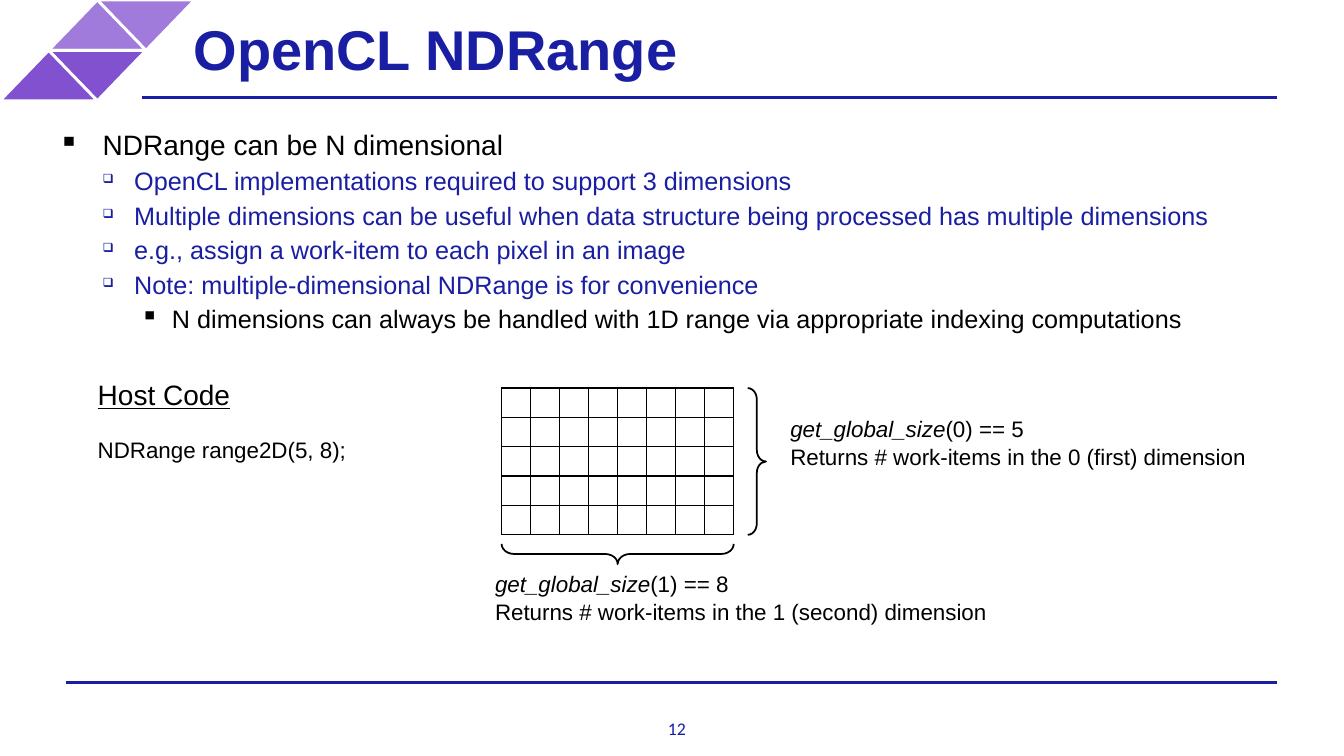
from lxml.etree import SubElement
from pptx import Presentation
from pptx.dml.color import RGBColor
from pptx.enum.shapes import MSO_CONNECTOR, MSO_SHAPE
from pptx.enum.text import MSO_ANCHOR, PP_ALIGN
from pptx.oxml.ns import qn
from pptx.util import Pt

COLORS = {"navy": "191EA2", "black": "000000", "white": "FFFFFF",
          "lilac": "A07BDB", "purple": "8151CF"}


def rgb(name):
    return RGBColor.from_string(COLORS[name])


def add_run(p, text, size=16, color="black", font="Arial", bold=False, italic=False, underline=False):
    r = p.add_run()
    r.text = text
    r.font.size = Pt(size)
    r.font.name = font
    r.font.bold = bold
    r.font.italic = italic
    r.font.underline = underline
    r.font.color.rgb = rgb(color)


def set_frame(tf, inset=0, anchor=MSO_ANCHOR.TOP):
    tf.word_wrap = True
    tf.vertical_anchor = anchor
    tf.margin_left = tf.margin_right = tf.margin_top = tf.margin_bottom = Pt(inset)


def add_box(s, x, y, w, h):
    tf = s.shapes.add_textbox(Pt(x), Pt(y), Pt(w), Pt(h)).text_frame
    set_frame(tf)
    return tf


def add_rule(s, x1, x2, y):
    line = s.shapes.add_connector(MSO_CONNECTOR.STRAIGHT, Pt(x1), Pt(y), Pt(x2), Pt(y))
    line.line.color.rgb = rgb("navy")
    line.line.width = Pt(2)
    SubElement(line._element.spPr, qn("a:effectLst"))


def add_triangles(s, x, y, w, h):
    half_w, half_h = w / 4, h / 2
    for col, row, turn, color in [(2, 0, 180, "lilac"), (1, 0, 0, "lilac"),
                                  (1, 1, 180, "purple"), (0, 1, 0, "purple")]:
        sp = s.shapes.add_shape(MSO_SHAPE.ISOSCELES_TRIANGLE, Pt(x + col * half_w),
                                Pt(y + row * half_h), Pt(2 * half_w), Pt(half_h))
        sp.rotation = turn
        sp.shadow.inherit = False
        sp.fill.solid()
        sp.fill.fore_color.rgb = rgb(color)
        sp.line.color.rgb = rgb("white")
        sp.line.width = Pt(2)


def add_title(s, text, x, y, w, h):
    title = s.shapes.title
    title.left, title.top, title.width, title.height = Pt(x), Pt(y), Pt(w), Pt(h)
    set_frame(title.text_frame, 10, MSO_ANCHOR.MIDDLE)
    p = title.text_frame.paragraphs[0]
    p.alignment = PP_ALIGN.LEFT
    add_run(p, text, size=40, color="navy", bold=True)


def add_bullets(s, items, x, y, w, h):
    styles = [(36, -31.5, 6, "▪", 100, 20, "black"),
              (58.5, -22.5, 3, "❑", 50, 18, "navy"),
              (85.5, -22.5, 3, "▪", 100, 18, "black")]
    tf = add_box(s, x, y, w, h)
    for i, (level, text) in enumerate(items):
        margin, indent, before, bullet, scale, size, color = styles[level]
        p = tf.paragraphs[0] if i == 0 else tf.add_paragraph()
        p.level = level
        p.space_before = Pt(before)
        add_run(p, text, size=size, color=color)
        pPr = p._p.get_or_add_pPr()
        pPr.set("marL", str(Pt(margin)))
        pPr.set("indent", str(Pt(indent)))
        SubElement(pPr, qn("a:buSzPct"), val=str(scale * 1000))
        SubElement(pPr, qn("a:buChar"), char=bullet)


def add_label(s, lines, x, y, w, h):
    tf = add_box(s, x, y, w, h)
    tf.margin_top = tf.margin_bottom = Pt(3.6)
    for i, runs in enumerate(lines):
        p = tf.paragraphs[0] if i == 0 else tf.add_paragraph()
        p.line_spacing = Pt(20)
        for text, style in runs:
            add_run(p, text, **style)


def add_brace(s, x, y, w, h, rotation):
    sp = s.shapes.add_shape(MSO_SHAPE.LEFT_BRACE, Pt(x), Pt(y), Pt(w), Pt(h))
    sp.rotation = rotation
    sp.adjustments[0] = 0.62
    sp.shadow.inherit = False
    sp.fill.background()
    sp.line.color.rgb = rgb("black")
    sp.line.width = Pt(1.25)


def format_cell(cell):
    cell.margin_left = cell.margin_right = cell.margin_top = cell.margin_bottom = 0
    tcPr = cell._tc.get_or_add_tcPr()
    for side in ("lnL", "lnR", "lnT", "lnB"):
        ln = SubElement(tcPr, qn("a:" + side), w=str(Pt(1)))
        fill = SubElement(ln, qn("a:solidFill"))
        SubElement(fill, qn("a:srgbClr"), val=COLORS["black"])
    cell.fill.background()
    SubElement(cell.text_frame.paragraphs[0]._p, qn("a:endParaRPr"), sz="1000")


def add_range_grid(s, rows, cols, x, y, w, h):
    table = s.shapes.add_table(rows, cols, Pt(x), Pt(y), Pt(w), Pt(h)).table
    table.first_row = table.horz_banding = False
    for col in table.columns:
        col.width = Pt(w / cols)
    for row in table.rows:
        row.height = Pt(h / rows)
    for cell in table.iter_cells():
        format_cell(cell)
    add_brace(s, x + w + 10, y, 13, h, 180)
    thick = 14.4
    add_brace(s, x + (w - thick) / 2, y + h + 6.5 + (thick - w) / 2, thick, w, 270)


def add_diagram(s, x, y, w, h):
    italic = {"italic": True}
    add_label(s, [[("Host Code", {"size": 20, "underline": True})]], x, y, 207, 27)
    add_label(s, [[("NDRange range2D(5, 8);", {})]], x, y + 37.5, 207, 26)
    add_range_grid(s, 5, 8, x + 288.5, y + 7.2, 165.8, 104.8)
    for dim, size, order, dx, dy in [(1, 8, "second", 283.8, 133.2), (0, 5, "first", 494.7, 22.3)]:
        add_label(s, [[("get_global_size", italic), (f"({dim}) == {size}", {})],
                      [(f"Returns # work-items in the {dim} ({order}) dimension", {})]],
                  x + dx, y + dy, w - 494.7, h - 133.2)


def add_page_number(s, text, x, y, w, h):
    p = add_box(s, x, y, w, h).paragraphs[0]
    p.alignment = PP_ALIGN.CENTER
    add_run(p, text, size=12.7, color="navy", font="Calibri")


prs = Presentation()
prs.slide_width, prs.slide_height = Pt(960), Pt(540)
s = prs.slides.add_slide(prs.slide_layouts[5])

add_rule(s, 47.5, 912.5, 487.5)
add_triangles(s, 0, 0, 139, 72)
add_rule(s, 101.5, 912.5, 69.8)
add_title(s, "OpenCL NDRange", 128.2, 0, 575, 68.4)
add_page_number(s, "12", 476.6, 512.6, 14, 27)
add_bullets(s, [
    (0, "NDRange can be N dimensional"),
    (1, "OpenCL implementations required to support 3 dimensions"),
    (1, "Multiple dimensions can be useful when data structure being processed has multiple dimensions"),
    (1, "e.g., assign a work-item to each pixel in an image"),
    (1, "Note: multiple-dimensional NDRange is for convenience"),
    (2, "N dimensions can always be handled with 1D range via appropriate indexing computations"),
], 37.4, 91.4, 878.4, 170)
add_diagram(s, 69.8, 270, 863, 179.2)

prs.save("out.pptx")
